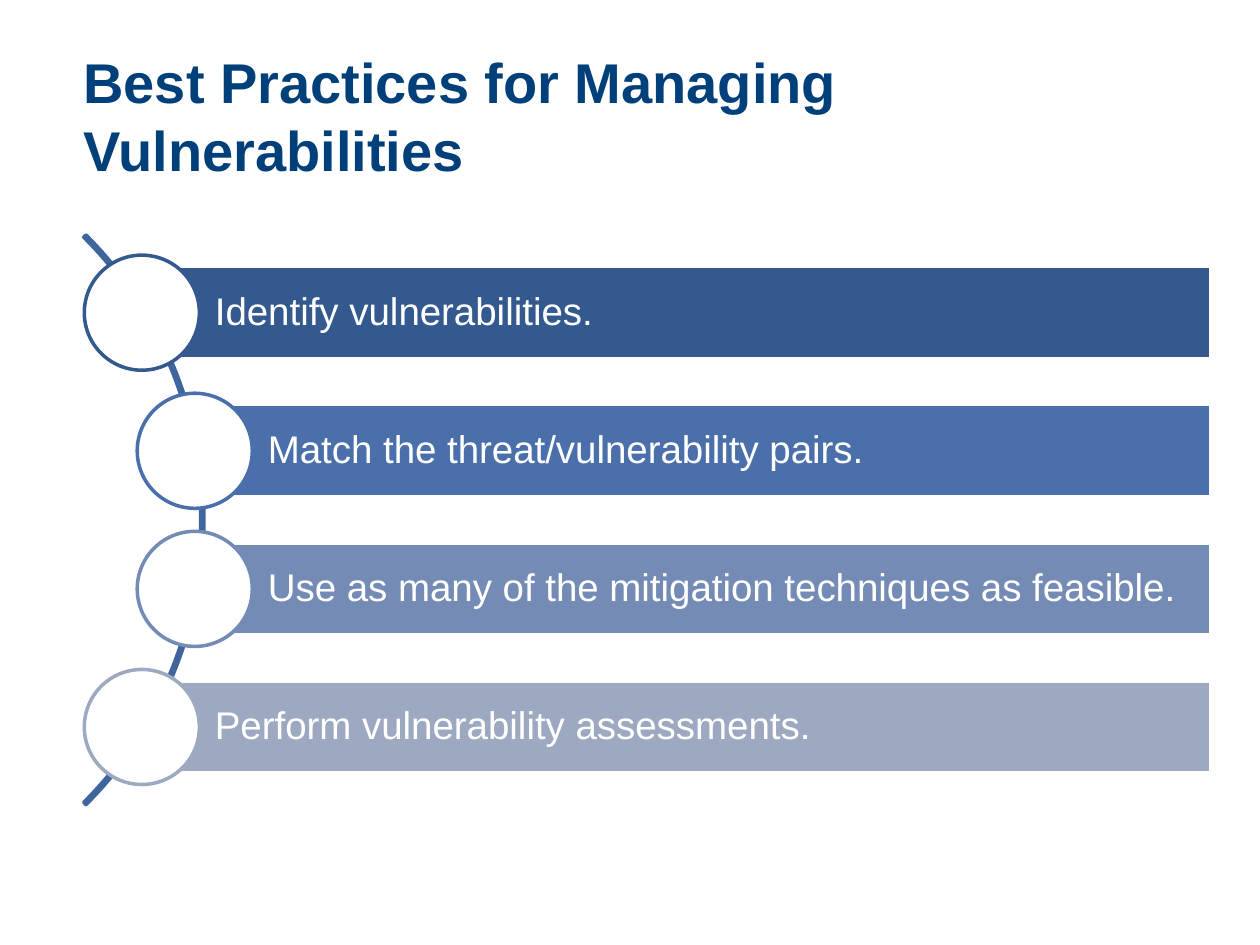
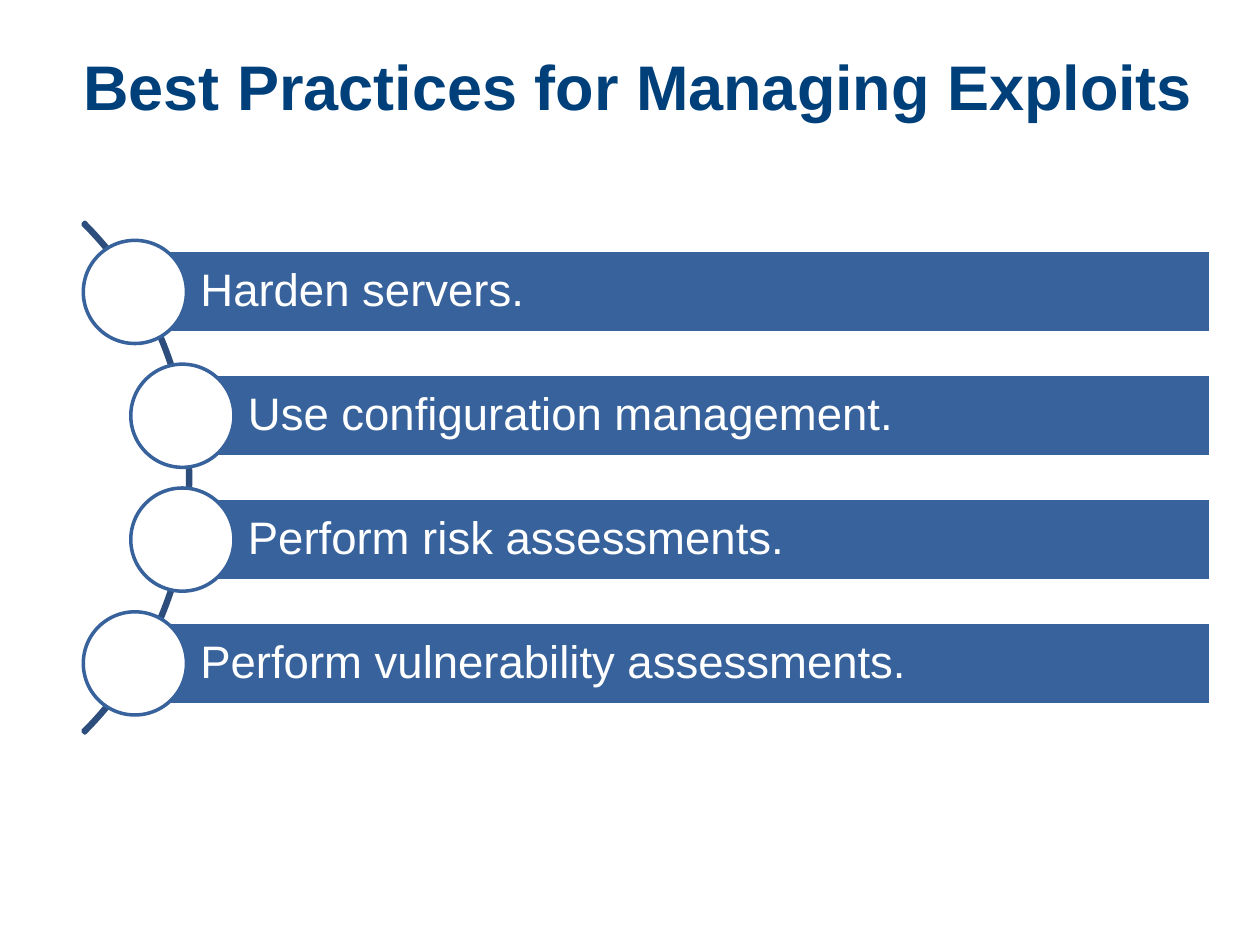
from dataclasses import dataclass

from pptx import Presentation
from pptx.dml.color import RGBColor
from pptx.enum.shapes import MSO_SHAPE
from pptx.enum.text import MSO_ANCHOR, PP_ALIGN
from pptx.util import Cm, Pt


@dataclass(frozen=True)
class Theme:
    """Hold the colours, font and type sizes that the slides share."""
    font: str = "Arial"
    title: str = "00407A"
    white: str = "FFFFFF"
    bands: tuple = ("33598E", "4B6FAA", "748BB5", "9DA8C1")
    band: str = "38629C"
    arc_light: str = "3F659D"
    arc_dark: str = "2D4E7D"
    title_small: int = 32
    title_large: int = 36
    item_small: int = 22
    item_large: int = 26
    line: int = 2


THEME = Theme()
BANDS_RIGHT = 24.4


def style_text(tf, text, size, color, bold=False):
    """Write one left-aligned paragraph and format its run."""
    tf.text = text
    tf.word_wrap = True
    p = tf.paragraphs[0]
    p.alignment = PP_ALIGN.LEFT
    font = p.runs[0].font
    font.name = THEME.font
    font.size = Pt(size)
    font.bold = bold
    font.color.rgb = RGBColor.from_string(color)
    return p


def add_title(s, text, size):
    """Add the slide title."""
    tf = s.shapes.add_textbox(Cm(1.5), Cm(0.84), Cm(23.06), Cm(2.74)).text_frame
    tf.margin_left = tf.margin_right = Cm(0.18)
    tf.vertical_anchor = MSO_ANCHOR.TOP
    style_text(tf, text, size, THEME.title, bold=True).line_spacing = 1.0


def add_outlined(s, kind, left, top, width, height, line, fill=None):
    """Add a preset shape with an outline and an optional fill."""
    sp = s.shapes.add_shape(kind, Cm(left), Cm(top), Cm(width), Cm(height))
    sp.shadow.inherit = False
    sp.line.color.rgb = RGBColor.from_string(line)
    sp.line.width = Pt(THEME.line)
    if fill:
        sp.fill.solid()
        sp.fill.fore_color.rgb = RGBColor.from_string(fill)
    else:
        sp.fill.background()
    return sp


def add_arc(s, right, middle, size, color):
    """Add the thin arc that runs behind the circles."""
    sp = add_outlined(s, MSO_SHAPE.BLOCK_ARC, right - size, middle - size / 2,
                      size, size, color)
    for i, value in enumerate((189, 27, 0.004)):
        sp.adjustments[i] = value


def add_item(s, text, x, y, circle, size, color):
    """Add a text band that starts at the centre of its circle."""
    height = 0.8 * circle
    band = add_outlined(s, MSO_SHAPE.RECTANGLE, x, y - height / 2,
                        BANDS_RIGHT - x, height, THEME.white, color)
    tf = band.text_frame
    tf.margin_left = Cm(0.635 * circle)
    tf.margin_top = tf.margin_right = tf.margin_bottom = Cm(0.16)
    tf.vertical_anchor = MSO_ANCHOR.MIDDLE
    style_text(tf, text, size, THEME.white).line_spacing = 0.9
    add_outlined(s, MSO_SHAPE.OVAL, x - circle / 2, y - circle / 2,
                 circle, circle, color, THEME.white)


def add_curved_list(s, items, colors, x, middle, circle, size, arc_color):
    """Add the arc and its items, all scaled from the circle diameter."""
    add_arc(s, x + 0.54 * circle, middle, 7 * circle, arc_color)
    last = len(items) - 1
    for i, (text, color) in enumerate(zip(items, colors)):
        indent = 0 if i in (0, last) else 0.46 * circle
        y = middle + (i - last / 2) * 1.2 * circle
        add_item(s, text, x + indent, y, circle, size, color)


def main():
    """Build both slides and save the presentation."""
    prs = Presentation()
    prs.slide_width, prs.slide_height = Cm(25.4), Cm(19.05)
    blank = prs.slide_layouts[6]

    s = prs.slides.add_slide(blank)
    add_title(s, "Best Practices for Managing Vulnerabilities", THEME.title_small)
    vulnerability_steps = [
        "Identify vulnerabilities.",
        "Match the threat/vulnerability pairs.",
        "Use as many of the mitigation techniques as feasible.",
        "Perform vulnerability assessments.",
    ]
    add_curved_list(s, vulnerability_steps, THEME.bands, x=2.86, middle=10.48,
                    circle=2.32, size=THEME.item_small, arc_color=THEME.arc_light)

    s = prs.slides.add_slide(blank)
    add_title(s, "Best Practices for Managing Exploits", THEME.title_large)
    exploit_steps = [
        "Harden servers.",
        "Use configuration management.",
        "Perform risk assessments.",
        "Perform vulnerability assessments.",
    ]
    add_curved_list(s, exploit_steps, [THEME.band] * len(exploit_steps), x=2.72,
                    middle=9.63, circle=2.08, size=THEME.item_large,
                    arc_color=THEME.arc_dark)

    prs.save("out.pptx")


if __name__ == "__main__":
    main()
